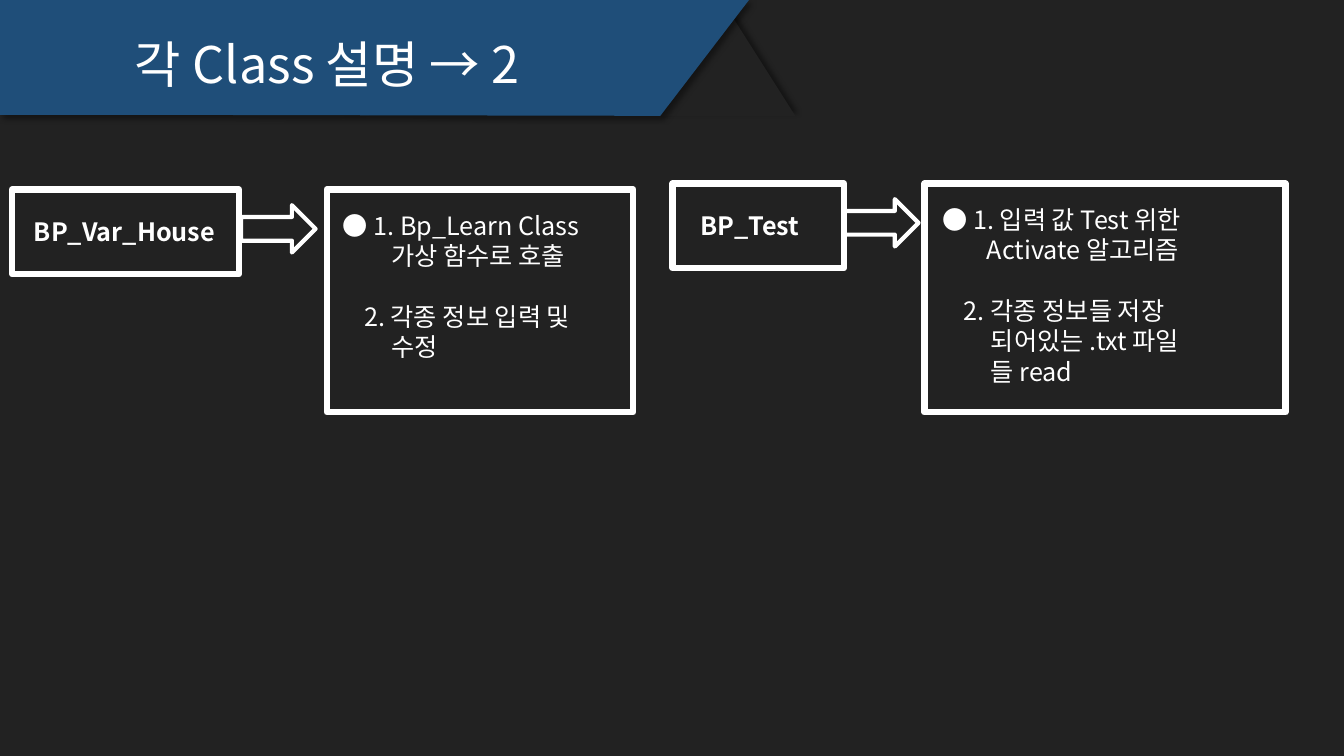
import pptx
import pptx.dml.color
import pptx.enum.shapes
import pptx.enum.text
import pptx.oxml
import pptx.oxml.ns
import pptx.util
from lxml import etree

RGB = pptx.dml.color.RGBColor
DARK = RGB(0x22, 0x22, 0x22)
BLUE = RGB(0x1F, 0x4E, 0x79)
WHITE = RGB(0xFF, 0xFF, 0xFF)
FONT = "Noto Sans CJK KR"
KIND = pptx.enum.shapes.MSO_SHAPE
ALIGN = pptx.enum.text.PP_ALIGN
WIDE = pptx.util.Inches(13.33)
HIGH = pptx.util.Inches(7.5)
FLOOR = 54.53  # bottom edge shared by the note frames


def col(share):
    """Percent of the slide's width."""
    return int(WIDE * share / 100)


def row(share):
    """Percent of the slide's height."""
    return int(HIGH * share / 100)


def area(left, top, width, height):
    return col(left), row(top), col(width), row(height)


def shade(shape, angle):
    """Solid shape with a soft outer shadow."""
    shape.line.fill.background()
    shape.shadow.inherit = False
    glow = shape.element.spPr.find(pptx.oxml.ns.qn("a:effectLst"))
    glow.append(pptx.oxml.parse_xml(
        '<a:outerShdw xmlns:a="http://schemas.openxmlformats.org/drawingml/2006/main"'
        f' blurRad="50800" dist="38100" dir="{angle * 60000}" algn="ctr" rotWithShape="0">'
        '<a:srgbClr val="000000"><a:alpha val="40000"/></a:srgbClr></a:outerShdw>'))


def fill(shape, color):
    shape.fill.solid()
    shape.fill.fore_color.rgb = color


def frame(slide, kind, place, weight):
    """Unfilled shape with a white outline."""
    shape = slide.shapes.add_shape(kind, *area(*place))
    shape.fill.background()
    shape.line.color.rgb = WHITE
    shape.line.width = pptx.util.Pt(weight)
    shape.shadow.inherit = False


def write(slide, place, lines, size=18, bold=False, align=ALIGN.LEFT):
    """Lines are (text, indent in percent of width, space before in points)."""
    text = slide.shapes.add_textbox(*area(*place)).text_frame
    text.word_wrap = True
    for spot, (words, indent, gap) in enumerate(lines):
        para = text.paragraphs[0] if spot == 0 else text.add_paragraph()
        para.text = words
        para.alignment = align
        para.space_before = pptx.util.Pt(gap)
        para.font.size = pptx.util.Pt(size)
        para.font.bold = bold
        para.font.name = FONT
        para.font.color.rgb = WHITE
        props = para._p.get_or_add_pPr()
        props.set("marL", str(col(indent)))
        props.set("indent", "0")
        latin = props.find(".//" + pptx.oxml.ns.qn("a:latin"))
        east = etree.Element(pptx.oxml.ns.qn("a:ea"), typeface=FONT)
        latin.addnext(east)


def banner(slide):
    # Dark fold behind the title band
    fold = slide.shapes.add_shape(KIND.ISOSCELES_TRIANGLE, *area(49.28, 1.47, 9.9, 13.87))
    fill(fold, DARK)
    shade(fold, 315)

    # Slanted title band
    pen = slide.shapes.build_freeform(0, 0)
    edge = [(55.73, 0), (49.13, 15.33), (11.63, 15.2), (0, 15.2)]
    pen.add_line_segments([(col(x), row(y)) for x, y in edge], close=True)
    band = pen.convert_to_shape()
    fill(band, BLUE)
    shade(band, 45)
    write(slide, (9.3, 3.73, 39.38, 9.47), [("각 Class 설명 → 2", 0, 0)], 36)


def group(slide, top, name, box, label, arrow, note, text, lines):
    """Class name, arrow and framed notes; box and note are (left, width)."""
    frame(slide, KIND.RECTANGLE, (box[0], top, box[1], 11.2), 4.5)
    write(slide, (label, top + 2.87, 16.13, 5.33), [(name, 0, 0)],
          bold=True, align=ALIGN.CENTER)
    frame(slide, KIND.RIGHT_ARROW, (arrow, top + 2.07, 5.55, 6.27), 3)
    frame(slide, KIND.RECTANGLE, (note[0], top, note[1], FLOOR - top), 4.5)
    write(slide, (text, top + 2.07, 23.03, 25.6), lines)


def main():
    deck = pptx.Presentation()
    deck.slide_width, deck.slide_height = WIDE, HIGH
    slide = deck.slides.add_slide(deck.slide_layouts[6])
    fill(slide.background, DARK)
    banner(slide)

    # Left class
    group(slide, 25.07, "BP_Var_House", (0.9, 16.88), 1.2, 17.93, (24.31, 22.81), 24.76, [
        ("● 1. Bp_Learn Class", 0, 0),
        ("가상 함수로 호출", 3.6, 0),
        ("2. 각종 정보 입력 및", 1.6, 22),
        ("수정", 3.6, 0),
    ])

    # Right class
    group(slide, 24.27, "BP_Test", (50.04, 12.75), 47.71, 62.79, (68.79, 26.86), 69.39, [
        ("● 1. 입력 값 Test 위한", 0, 0),
        ("Activate 알고리즘", 3.3, 0),
        ("2. 각종 정보들 저장", 1.6, 22),
        ("되어있는 .txt 파일", 3.6, 0),
        ("들 read", 3.6, 0),
    ])

    deck.save("out.pptx")


if __name__ == "__main__":
    main()
